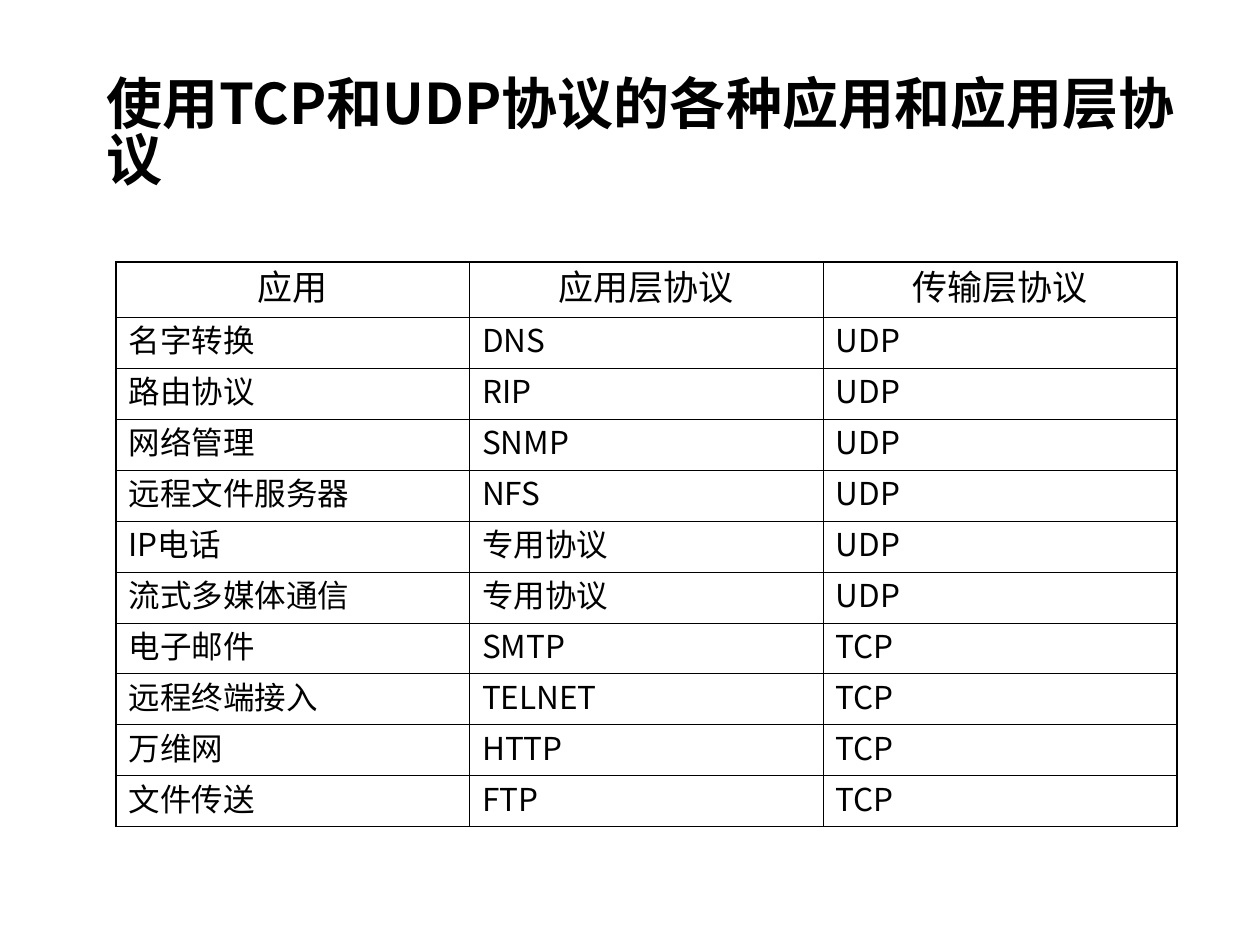
from lxml.etree import SubElement
from pptx import Presentation
from pptx.dml.color import RGBColor
from pptx.enum.text import MSO_ANCHOR, PP_ALIGN
from pptx.oxml.ns import qn
from pptx.util import Inches, Pt

BLACK = RGBColor(0x00, 0x00, 0x00)
FONT = "Noto Sans CJK SC"
THIN, THICK = Pt(0.45), Pt(1.08)

TITLE = "使用TCP和UDP协议的各种应用和应用层协议"
PROTOCOLS = [
    ("应用", "应用层协议", "传输层协议"),
    ("名字转换", "DNS", "UDP"),
    ("路由协议", "RIP", "UDP"),
    ("网络管理", "SNMP", "UDP"),
    ("远程文件服务器", "NFS", "UDP"),
    ("IP电话", "专用协议", "UDP"),
    ("流式多媒体通信", "专用协议", "UDP"),
    ("电子邮件", "SMTP", "TCP"),
    ("远程终端接入", "TELNET", "TCP"),
    ("万维网", "HTTP", "TCP"),
    ("文件传送", "FTP", "TCP"),
]
HEADER_HEIGHT, TABLE_HEIGHT = 0.44, 4.48


def write_text(tf, text, size, line_spacing, bold=False):
    p = tf.paragraphs[0]
    p.text = text
    p.line_spacing = line_spacing
    font = p.font
    font.name, font.size, font.bold = FONT, Pt(size), bold
    font.color.rgb = BLACK
    # East Asian characters take their typeface from a:ea.
    SubElement(font._element, qn("a:ea"), typeface=FONT)
    return p


def add_title(s):
    box = s.shapes.add_textbox(Inches(0.75), Inches(1), Inches(8.75), Inches(0.57))
    tf = box.text_frame
    tf.word_wrap = True
    tf.vertical_anchor = MSO_ANCHOR.BOTTOM
    write_text(tf, TITLE, 32, 0.83, bold=True)


def set_borders(cell, widths):
    """Draw the left, right, top and bottom borders in the given widths."""
    tcPr = cell._tc.get_or_add_tcPr()
    for side, width in zip("LRTB", widths):
        ln = SubElement(tcPr, qn(f"a:ln{side}"), w=str(width))
        fill = SubElement(ln, qn("a:solidFill"))
        SubElement(fill, qn("a:srgbClr"), val=str(BLACK))


def add_protocol_table(s):
    n_rows, n_cols = len(PROTOCOLS), len(PROTOCOLS[0])
    table = s.shapes.add_table(n_rows, n_cols, Inches(0.92), Inches(2.08),
                               Inches(8.42), Inches(TABLE_HEIGHT)).table
    table.first_row = table.horz_banding = False
    body_height = (TABLE_HEIGHT - HEADER_HEIGHT) / (n_rows - 1)
    for i, row in enumerate(PROTOCOLS):
        header = i == 0
        table.rows[i].height = Inches(HEADER_HEIGHT if header else body_height)
        for j, text in enumerate(row):
            cell = table.cell(i, j)
            outer = (j == 0, j == n_cols - 1, header, i == n_rows - 1)
            set_borders(cell, [THICK if edge else THIN for edge in outer])
            cell.fill.background()
            cell.margin_bottom = 0
            size = 20 if header else 18
            p = write_text(cell.text_frame, text, size, 0.8)
            p.space_before = Pt(size / 4)
            p.alignment = PP_ALIGN.CENTER if header else PP_ALIGN.LEFT


def main():
    prs = Presentation()
    prs.slide_width, prs.slide_height = Inches(10), Inches(7.5)
    s = prs.slides.add_slide(prs.slide_layouts[6])
    add_title(s)
    add_protocol_table(s)
    prs.save("out.pptx")


if __name__ == "__main__":
    main()
